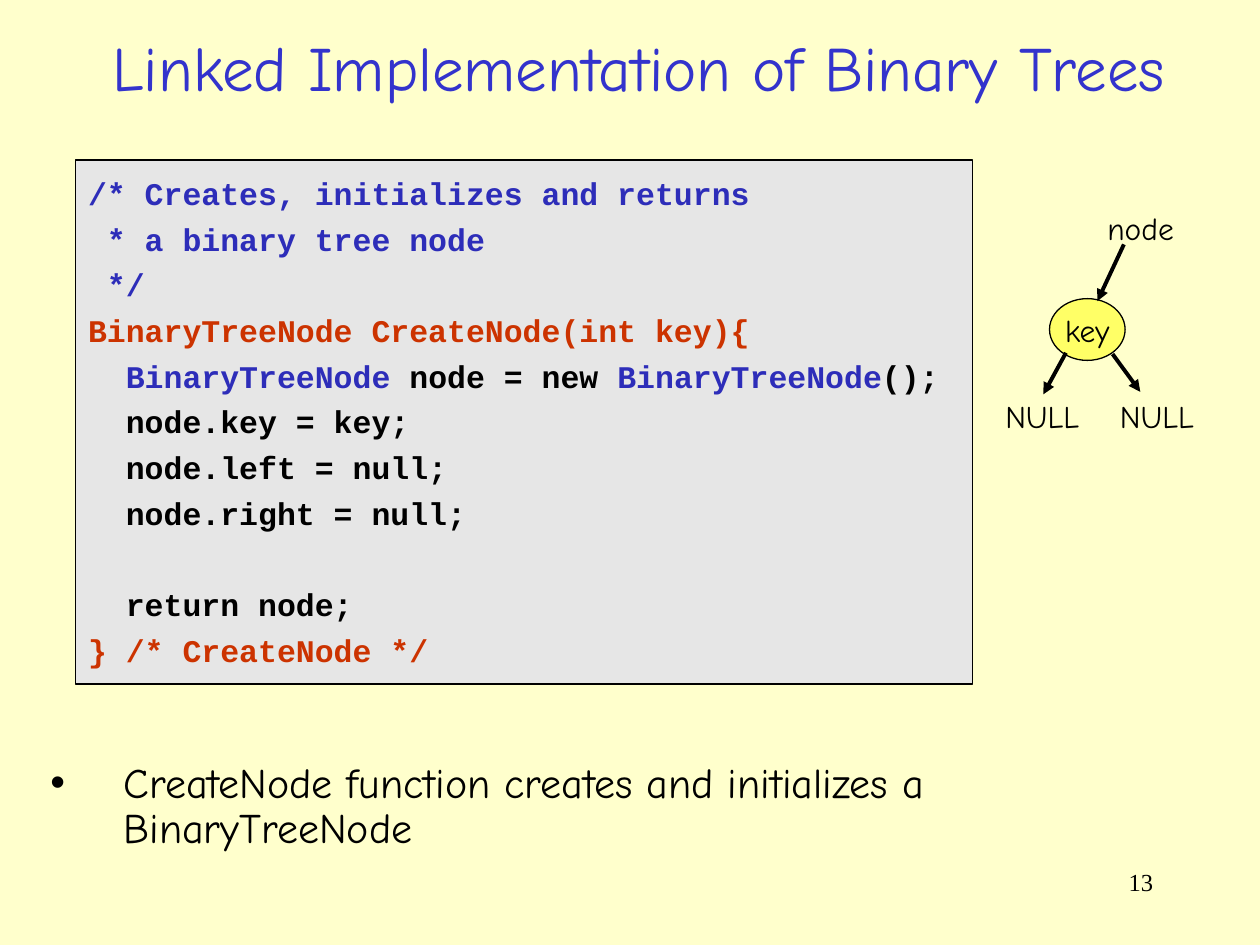
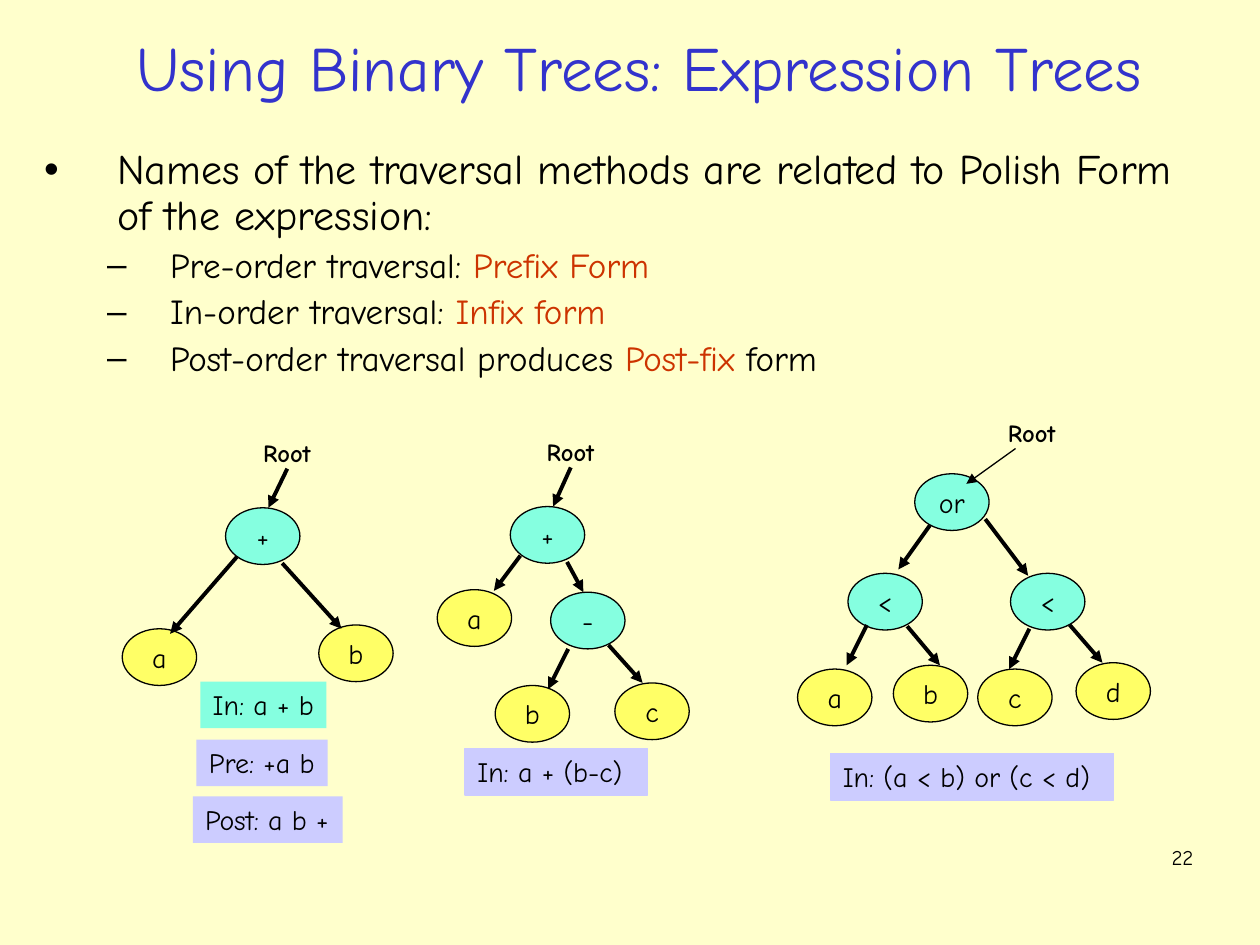
from lxml import etree
from pptx import Presentation
from pptx.dml.color import RGBColor
from pptx.enum.shapes import MSO_CONNECTOR, MSO_SHAPE
from pptx.enum.text import MSO_ANCHOR, MSO_AUTO_SIZE, PP_ALIGN
from pptx.oxml.ns import qn
from pptx.util import Inches, Pt

OVAL, RECTANGLE = MSO_SHAPE.OVAL, MSO_SHAPE.RECTANGLE
STRAIGHT = MSO_CONNECTOR.STRAIGHT
LEFT, CENTER, RIGHT = PP_ALIGN.LEFT, PP_ALIGN.CENTER, PP_ALIGN.RIGHT
TOP, MIDDLE = MSO_ANCHOR.TOP, MSO_ANCHOR.MIDDLE
NO_AUTOFIT = MSO_AUTO_SIZE.NONE

COLORS = {
    "background": "FFFFCC",
    "title": "3333CC",
    "text": "000000",
    "accent": "CC3300",
    "type": "2D2DB9",
    "code": "E6E6E6",
    "leaf": "FFFF66",
    "operator": "85FFE0",
    "caption": "CCCCFF",
}
HAND, MONO, SERIF = "Comic Neue", "Courier New", "Times New Roman"
BULLETS = [
    {"mark": "•", "margin": 0.58, "hanging": 0.58, "size": 24, "before": 6},
    {"mark": "–", "margin": 1, "hanging": 0.5, "size": 20, "before": 5},
]
NODE_WIDTH, NODE_HEIGHT = 0.59, 0.45

CODE = [
    [("/* Creates, initializes and returns", "type")],
    [(" * a binary tree node", "type")],
    [(" */", "type")],
    [("BinaryTreeNode CreateNode(int key){", "accent")],
    [("  BinaryTreeNode", "type"), (" node = new ", "text"),
     ("BinaryTreeNode", "type"), ("();", "text")],
    [("  node.key = key;", "text")],
    [("  node.left = null;", "text")],
    [("  node.right = null;", "text")],
    [],
    [("  return node;", "text")],
    [("} /* CreateNode */", "accent")],
]
TRAVERSALS = [
    (0, [("Names of the traversal methods are related to Polish Form of the expression:", "text")]),
    (1, [("Pre-order traversal: ", "text"), ("Prefix Form", "accent")]),
    (1, [("In-order traversal: ", "text"), ("Infix form", "accent")]),
    (1, [("Post-order traversal produces ", "text"), ("Post-fix", "accent"), (" form", "text")]),
]
TREES = [
    {
        "root": (1.99, 3.43),
        "root_arrow": (2.28, 3.72, 2.13, 4.03),
        "root_width": 2.25,
        "operators": [("+", 1.79, 4.03)],
        "leaves": [("a", 0.97, 4.99), ("b", 2.53, 4.96)],
        "arrows": [(1.88, 4.42, 1.35, 5.03), (2.24, 4.47, 2.71, 4.99)],
    },
    {
        "root": (4.24, 3.42),
        "root_arrow": (4.53, 3.71, 4.39, 4.02),
        "root_width": 2.25,
        "operators": [("+", 4.05, 4.02), ("-", 4.37, 4.7)],
        "leaves": [("a", 3.47, 4.68), ("b", 3.93, 5.44), ("c", 4.88, 5.42)],
        "arrows": [(4.13, 4.41, 3.92, 4.69), (4.5, 4.46, 4.63, 4.7),
                   (4.51, 5.15, 4.35, 5.47), (4.83, 5.12, 5.1, 5.42)],
    },
    {
        "root": (7.9, 3.27),
        "root_arrow": (8.06, 3.56, 7.67, 3.84),
        "root_width": 0.75,
        "operators": [("or", 7.26, 3.76), ("<", 6.73, 4.55), ("<", 8.02, 4.55)],
        "leaves": [("a", 6.33, 5.31), ("b", 7.09, 5.28), ("c", 7.76, 5.31), ("d", 8.54, 5.26)],
        "arrows": [(7.38, 4.17, 7.13, 4.52), (7.82, 4.12, 8.16, 4.57),
                   (6.88, 4.96, 6.72, 5.28), (7.2, 4.97, 7.46, 5.28),
                   (8.17, 4.99, 8.01, 5.31), (8.49, 4.96, 8.75, 5.26)],
    },
]
CAPTIONS = [
    ("In: a + b", 1.59, 5.41, 1, "operator", False),
    ("Pre: +a b", 1.56, 5.87, 1.04, "caption", False),
    ("Post: a b +", 1.53, 6.32, 1.19, "caption", False),
    ("In: a + (b-c)", 3.69, 5.94, 1.45, "caption", True),
    ("In: (a < b) or (c < d)", 6.59, 5.98, 2.25, "caption", True),
]


def color(name):
    return RGBColor.from_string(COLORS[name])


def place(shape, left, top, width, height):
    shape.left, shape.top = Inches(left), Inches(top)
    shape.width, shape.height = Inches(width), Inches(height)


def set_font(para, size, face=HAND, ink="text", bold=False):
    para.font.size, para.font.name, para.font.bold = Pt(size), face, bold
    para.font.color.rgb = color(ink)


def add_spans(para, spans):
    for text, ink in spans:
        span = para.add_run()
        span.text = text
        if len(spans) > 1:
            span.font.color.rgb = color(ink)


def write_line(shape, text, size, align=LEFT, anchor=TOP, wrap=False, **font):
    frame = shape.text_frame
    frame.word_wrap, frame.vertical_anchor = wrap, anchor
    para = frame.paragraphs[0]
    para.text, para.alignment = text, align
    set_font(para, size, **font)


def add_label(page, text, left, top, width, height, size, **style):
    box = page.shapes.add_textbox(Inches(left), Inches(top), Inches(width), Inches(height))
    write_line(box, text, size, **style)


def add_panel(page, kind, left, top, width, height, fill, line="text"):
    panel = page.shapes.add_shape(kind, Inches(left), Inches(top), Inches(width), Inches(height))
    panel.shadow.inherit = False
    panel.fill.solid()
    panel.fill.fore_color.rgb = color(fill)
    if line:
        panel.line.color.rgb = color(line)
        panel.line.width = Pt(0.75)
    else:
        panel.line.fill.background()
    return panel


def add_node(page, text, left, top, fill, width=NODE_WIDTH, height=NODE_HEIGHT, size=16):
    node = add_panel(page, OVAL, left, top, width, height, fill)
    write_line(node, text, size, CENTER, MIDDLE)


def add_arrow(page, ends, width=2.25):
    arrow = page.shapes.add_connector(STRAIGHT, *[Inches(value) for value in ends])
    arrow.line.color.rgb = color("text")
    arrow.line.width = Pt(width)
    etree.SubElement(arrow.line._get_or_add_ln(), qn("a:tailEnd"), type="triangle")
    etree.SubElement(arrow._element.spPr, qn("a:effectLst"))


def add_code(page, lines, left, top, width, height):
    panel = add_panel(page, RECTANGLE, left, top, width, height, "code")
    frame = panel.text_frame
    frame.word_wrap, frame.vertical_anchor = True, TOP
    frame.margin_top = Inches(0.11)
    for index, spans in enumerate(lines):
        para = frame.add_paragraph() if index else frame.paragraphs[0]
        para.alignment = LEFT
        para.space_before = Pt(4.5 if index else 0)
        set_font(para, 18, MONO, spans[0][1] if spans else "text", True)
        add_spans(para, spans)


def fill_body(page, items, left, top, width, height):
    body = page.placeholders[1]
    place(body, left, top, width, height)
    frame = body.text_frame
    frame.auto_size, frame.word_wrap = NO_AUTOFIT, True
    frame.margin_top = Inches(0.13)
    for index, (level, spans) in enumerate(items):
        bullet = BULLETS[level]
        para = frame.add_paragraph() if index else frame.paragraphs[0]
        para.level = level
        para.line_spacing = 0.9
        para.space_before = Pt(bullet["before"] if index else 0)
        properties = para._p.get_or_add_pPr()
        properties.set("marL", str(Inches(bullet["margin"])))
        properties.set("indent", str(-Inches(bullet["hanging"])))
        etree.SubElement(properties, qn("a:buChar"), char=bullet["mark"])
        set_font(para, bullet["size"])
        add_spans(para, spans)


def add_page(deck, title):
    page = deck.slides.add_slide(deck.slide_layouts[1])
    place(page.shapes.title, 0.3, 0.15, 9.54, 0.76)
    page.shapes.title.text_frame.auto_size = NO_AUTOFIT
    write_line(page.shapes.title, title, 36, CENTER, MIDDLE, wrap=True, ink="title")
    return page


def add_page_number(page, number, left, top, size, face):
    add_label(page, number, left, top, 2.08, 0.5, size, align=RIGHT, wrap=True, face=face)


def add_tree(page, tree):
    for kind, fill in (("operators", "operator"), ("leaves", "leaf")):
        for text, left, top in tree[kind]:
            add_node(page, text, left, top, fill)
    for ends in tree["arrows"]:
        add_arrow(page, ends)
    add_arrow(page, tree["root_arrow"], tree["root_width"])
    add_label(page, "Root", *tree["root"], 0.58, 0.34, 14, bold=True)


def add_caption(page, text, left, top, width, fill, framed):
    caption = add_panel(page, RECTANGLE, left, top, width, 0.37, fill, fill if framed else None)
    write_line(caption, text, 16, wrap=framed)


def build_implementation(deck):
    page = add_page(deck, "Linked Implementation of Binary Trees")
    add_page_number(page, "13", 7.17, 6.83, 14, SERIF)
    add_code(page, CODE, 0.6, 1.27, 7.12, 4.16)
    add_node(page, "key", 8.33, 2.37, "leaf", 0.6, 0.49, 18)
    for ends in ((8.83, 2.81, 9.05, 3.11), (8.46, 2.8, 8.28, 3.13), (8.92, 1.94, 8.71, 2.39)):
        add_arrow(page, ends)
    add_label(page, "node", 8.69, 1.61, 0.73, 0.4, 18)
    for left in (7.88, 8.79):
        add_label(page, "NULL", left, 3.1, 0.79, 0.4, 18)
    sentence = "CreateNode function creates and initializes a BinaryTreeNode"
    fill_body(page, [(0, [(sentence, "text")])], 0.3, 5.92, 9.18, 0.82)


def build_expressions(deck):
    page = add_page(deck, "Using Binary Trees: Expression Trees")
    add_page_number(page, "22", 7.49, 6.65, 12, HAND)
    fill_body(page, TRAVERSALS, 0.25, 1.05, 9.41, 1.94)
    for tree in TREES:
        add_tree(page, tree)
    for caption in CAPTIONS:
        add_caption(page, *caption)


def main():
    deck = Presentation()
    deck.slide_width, deck.slide_height = Inches(10), Inches(7.5)
    background = deck.slide_master.background.fill
    background.solid()
    background.fore_color.rgb = color("background")
    build_implementation(deck)
    build_expressions(deck)
    deck.save("out.pptx")


if __name__ == "__main__":
    main()
